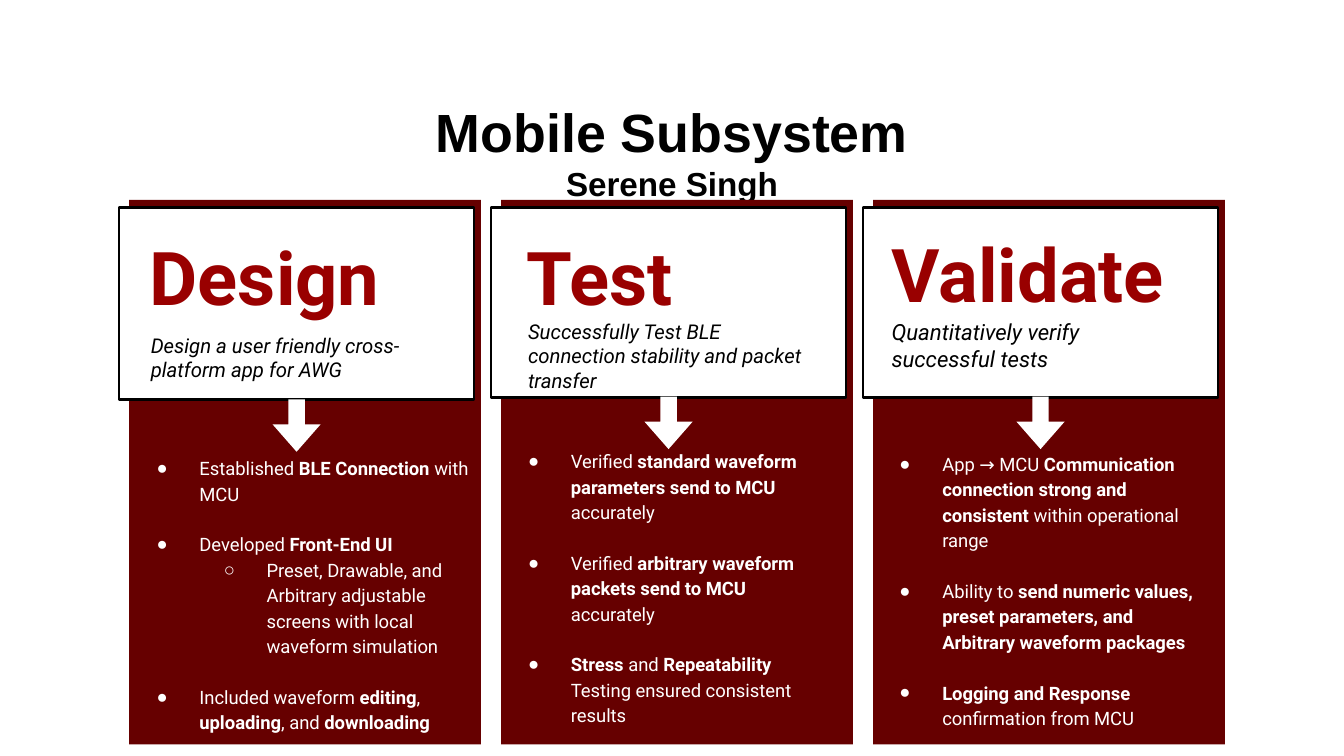
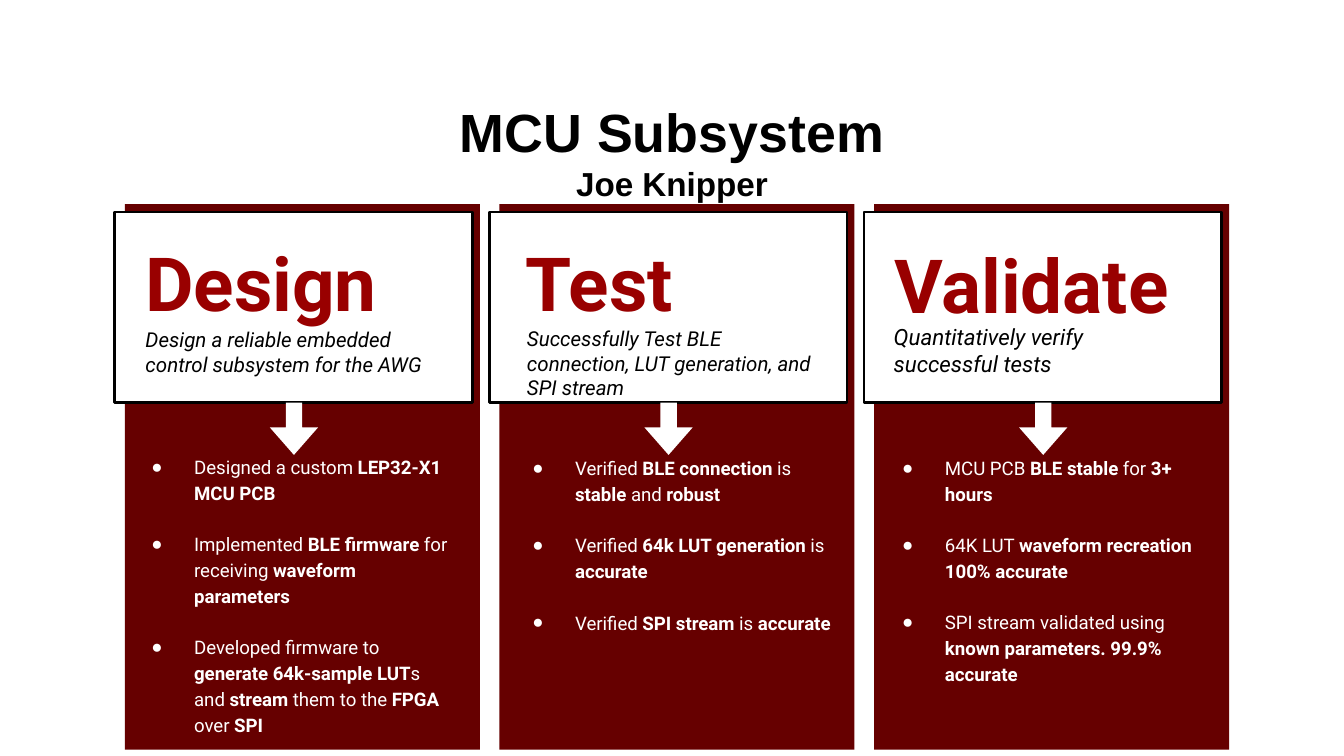
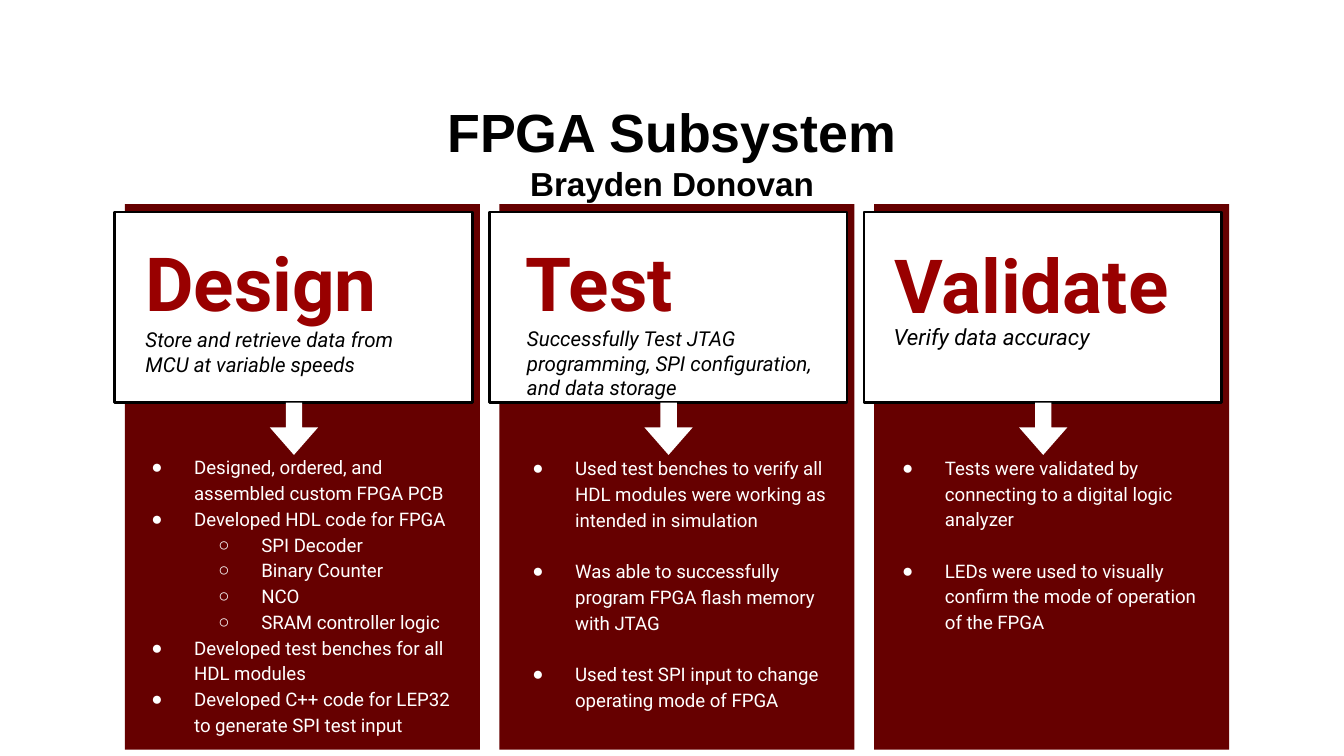
from dataclasses import dataclass
from typing import Any, NamedTuple

from lxml.etree import SubElement
from pptx import Presentation
from pptx.dml.color import RGBColor
from pptx.enum.shapes import MSO_SHAPE as Preset
from pptx.enum.text import MSO_ANCHOR as Anchor, PP_ALIGN as Align
from pptx.oxml.ns import qn
from pptx.util import Cm, Pt

BLACK = RGBColor(0x00, 0x00, 0x00)
WHITE = RGBColor(0xFF, 0xFF, 0xFF)
MAROON = RGBColor(0x66, 0x00, 0x00)
RED = RGBColor(0x99, 0x00, 0x00)

TITLE_FONT = "Arial"
BODY_FONT = "Roboto"
HEADINGS = ("Design", "Test", "Validate")
BULLET_MARKS = ("●", "○")
LEVEL_INDENT = 1.27
HANGING = -0.81
LINE_SPACING = 1.15
BLANK_LINE = 1.37


class Box(NamedTuple):
    left: float
    top: float
    width: float
    height: float

    def shifted(self, distance: float) -> "Box":
        return self._replace(left=self.left + distance)

    def lengths(self) -> list[Cm]:
        return [Cm(value) for value in self]


class Bullet(NamedTuple):
    text: str
    level: int = 0
    spaced: bool = False


@dataclass(frozen=True)
class TextPlaces:
    heading: Box
    caption: Box
    bullets: Box
    extra_caption_size: int = 0
    card_extension: float = 0


@dataclass(frozen=True)
class Layout:
    pitch: float
    panel: Box
    card: Box
    arrow: Box
    heading_size: float
    caption_size: float
    bullet_size: float
    columns: tuple[TextPlaces, ...]


@dataclass(frozen=True)
class Column:
    caption: str
    bullets: list[Bullet]


@dataclass(frozen=True)
class Subsystem:
    title: str
    presenter: str
    layout: Layout
    columns: tuple[Column, ...]


def spaced(*texts: str) -> list[Bullet]:
    return [Bullet(text, spaced=index > 0) for index, text in enumerate(texts)]


MOBILE_LAYOUT = Layout(
    pitch=7.03,
    panel=Box(2.44, 3.78, 6.65, 10.29),
    card=Box(2.25, 3.92, 6.71, 3.59),
    arrow=Box(5.11, 7.54, 0.99, 0.91),
    heading_size=39.7,
    caption_size=10.9,
    bullet_size=9.9,
    columns=(
        TextPlaces(Box(2.58, 4.13, 5.94, 1.73), Box(2.6, 6.04, 5.94, 1.55),
                   Box(2.25, 8.33, 7.04, 5.61), card_extension=0.05),
        TextPlaces(Box(9.7, 4.13, 3.94, 1.7), Box(9.73, 5.78, 5.94, 1.52),
                   Box(9.27, 8.2, 6.65, 5.61)),
        TextPlaces(Box(16.6, 4.06, 5.94, 1.7), Box(16.6, 5.77, 5.94, 1.52),
                   Box(16.29, 8.25, 6.65, 5.56), extra_caption_size=1),
    ),
)

HARDWARE_LAYOUT = Layout(
    pitch=7.08,
    panel=Box(2.36, 3.86, 6.71, 10.31),
    card=Box(2.17, 4.01, 6.76, 3.6),
    arrow=Box(5.06, 7.65, 0.99, 0.91),
    heading_size=40,
    caption_size=11,
    bullet_size=10,
    columns=(
        TextPlaces(Box(2.5, 4.22, 5.99, 1.7), Box(2.5, 5.93, 5.99, 1.55),
                   Box(2.15, 8.31, 6.65, 5.31)),
        TextPlaces(Box(9.69, 4.22, 3.96, 1.7), Box(9.71, 5.91, 5.99, 1.55),
                   Box(9.35, 8.33, 6.71, 5.31)),
        TextPlaces(Box(16.65, 4.26, 5.99, 1.7), Box(16.64, 5.86, 5.99, 1.55),
                   Box(16.34, 8.32, 6.71, 5.31), extra_caption_size=1),
    ),
)

SUBSYSTEMS = (
    Subsystem("Mobile Subsystem", "Serene Singh", MOBILE_LAYOUT, (
        Column("Design a user friendly cross-platform app for AWG", [
            Bullet("Established** BLE Connection **with MCU"),
            Bullet("Developed **Front-End UI**", spaced=True),
            Bullet("Preset, Drawable, and Arbitrary adjustable screens with "
                   "local waveform simulation", level=1),
            Bullet("Included waveform **editing**, **uploading**, and **downloading**",
                   spaced=True),
        ]),
        Column("Successfully Test BLE connection stability and packet transfer", spaced(
            "Verified **standard waveform parameters send to MCU **accurately",
            "Verified **arbitrary waveform packets send to MCU **accurately",
            "**Stress **and **Repeatability **Testing ensured consistent results",
        )),
        Column("Quantitatively verify successful tests", spaced(
            "App → MCU **Communication connection strong and consistent **"
            "within operational range",
            "Ability to **send numeric values, preset parameters, and "
            "Arbitrary waveform packages**",
            "**Logging and Response **confirmation from MCU",
        )),
    )),
    Subsystem("MCU Subsystem", "Joe Knipper", HARDWARE_LAYOUT, (
        Column("Design a reliable embedded control subsystem for the AWG", spaced(
            "Designed a custom **LEP32-X1 MCU PCB**",
            "Implemented **BLE firmware** for receiving **waveform parameters**",
            "Developed firmware to **generate 64k-sample LUT**s and **stream** "
            "them to the **FPGA** over **SPI**",
        )),
        Column("Successfully Test BLE connection, LUT generation, and SPI stream", spaced(
            "Verified **BLE connection** is **stable** and **robust**",
            "Verified **64k LUT generation **is **accurate**",
            "Verified **SPI stream **is **accurate**",
        )),
        Column("Quantitatively verify successful tests", spaced(
            "MCU PCB **BLE stable **for **3+ hours**",
            "64K LUT **waveform recreation 100% accurate**",
            "SPI stream validated using **known parameters. 99.9% accurate**",
        )),
    )),
    Subsystem("FPGA Subsystem", "Brayden Donovan", HARDWARE_LAYOUT, (
        Column("Store and retrieve data from MCU at variable speeds", [
            Bullet("Designed, ordered, and assembled custom FPGA PCB"),
            Bullet("Developed HDL code for FPGA"),
            Bullet("SPI Decoder", level=1),
            Bullet("Binary Counter", level=1),
            Bullet("NCO", level=1),
            Bullet("SRAM controller logic", level=1),
            Bullet("Developed test benches for all HDL modules"),
            Bullet("Developed C++ code for LEP32 to generate SPI test input"),
        ]),
        Column("Successfully Test JTAG programming, SPI configuration, and data storage",
               spaced(
                   "Used test benches to verify all HDL modules were working as "
                   "intended in simulation",
                   "Was able to successfully program FPGA flash memory with JTAG",
                   "Used test SPI input to change operating mode of FPGA",
               )),
        Column("Verify data accuracy", spaced(
            "Tests were validated by connecting to a digital logic analyzer",
            "LEDs were used to visually confirm the mode of operation of the FPGA",
        )),
    )),
)


def set_format(target: Any, values: dict[str, Any]) -> None:
    for name, value in values.items():
        setattr(target, name, value)


def add_run(paragraph: Any, text: str, size: float, color: RGBColor,
            **style: Any) -> None:
    run = paragraph.add_run()
    run.text = text
    set_format(run.font, {"name": BODY_FONT, "size": Pt(size), **style})
    run.font.color.rgb = color


def add_text_frame(shapes: Any, box: Box, vertical_margin: float = 0.25,
                   anchor: Anchor = Anchor.TOP) -> Any:
    frame = shapes.add_textbox(*box.lengths()).text_frame
    set_format(frame, {
        "word_wrap": True,
        "vertical_anchor": anchor,
        "margin_left": Cm(0.25),
        "margin_right": Cm(0.25),
        "margin_top": Cm(vertical_margin),
        "margin_bottom": Cm(vertical_margin),
    })
    return frame


def add_filled(shapes: Any, preset: Preset, box: Box, color: RGBColor) -> Any:
    shape = shapes.add_shape(preset, *box.lengths())
    shape.shadow.inherit = False
    shape.fill.solid()
    shape.fill.fore_color.rgb = color
    shape.line.fill.background()
    return shape


def add_title(shapes: Any, title: str, presenter: str) -> None:
    frame = add_text_frame(shapes, Box(1.27, 2.01, 22.86, 1.68), 0.13, Anchor.MIDDLE)
    lines = ((frame.paragraphs[0], title, 28.8), (frame.add_paragraph(), presenter, 17.8))
    for paragraph, text, size in lines:
        paragraph.alignment = Align.CENTER
        add_run(paragraph, text, size, BLACK, name=TITLE_FONT, bold=True)


def set_bullet(paragraph: Any, level: int) -> None:
    paragraph.level = level
    properties = paragraph._p.get_or_add_pPr()
    properties.set("marL", str(Cm(LEVEL_INDENT * (level + 1))))
    properties.set("indent", str(Cm(HANGING)))
    bullet_color = SubElement(properties, qn("a:buClr"))
    SubElement(bullet_color, qn("a:srgbClr")).set("val", str(WHITE))
    SubElement(properties, qn("a:buFont")).set("typeface", TITLE_FONT)
    SubElement(properties, qn("a:buChar")).set("char", BULLET_MARKS[level])


def add_bullets(shapes: Any, box: Box, bullets: list[Bullet], size: float) -> None:
    frame = add_text_frame(shapes, box)
    for index, bullet in enumerate(bullets):
        paragraph = frame.add_paragraph() if index else frame.paragraphs[0]
        set_bullet(paragraph, bullet.level)
        set_format(paragraph, {
            "line_spacing": LINE_SPACING,
            "space_before": Pt(size * BLANK_LINE if bullet.spaced else 0),
        })
        for part, text in enumerate(bullet.text.split("**")):
            if text:
                add_run(paragraph, text, size, WHITE, bold=part % 2 == 1)


def add_column(shapes: Any, layout: Layout, index: int, column: Column) -> None:
    places = layout.columns[index]
    offset = index * layout.pitch
    extension = places.card_extension
    card_box = layout.card._replace(height=layout.card.height + extension)
    arrow_box = layout.arrow._replace(top=layout.arrow.top + extension)

    add_filled(shapes, Preset.RECTANGLE, layout.panel.shifted(offset), MAROON)
    card = add_filled(shapes, Preset.RECTANGLE, card_box.shifted(offset), WHITE)
    card.line.color.rgb = BLACK
    card.line.width = Pt(1.5)

    caption = add_text_frame(shapes, places.caption).paragraphs[0]
    add_run(caption, column.caption, layout.caption_size + places.extra_caption_size,
            BLACK, italic=True)
    heading = add_text_frame(shapes, places.heading).paragraphs[0]
    add_run(heading, HEADINGS[index], layout.heading_size, RED, bold=True)

    arrow = add_filled(shapes, Preset.RIGHT_ARROW, arrow_box.shifted(offset), WHITE)
    arrow.rotation = 90
    arrow.adjustments[0] = 0.34
    arrow.adjustments[1] = 0.57
    add_bullets(shapes, places.bullets, column.bullets, layout.bullet_size)


def main() -> None:
    presentation = Presentation()
    set_format(presentation, {"slide_width": Cm(25.4), "slide_height": Cm(14.29)})
    for subsystem in SUBSYSTEMS:
        slide = presentation.slides.add_slide(presentation.slide_layouts[6])
        add_title(slide.shapes, subsystem.title, subsystem.presenter)
        for index, column in enumerate(subsystem.columns):
            group = slide.shapes.add_group_shape()
            add_column(group.shapes, subsystem.layout, index, column)
    presentation.save("out.pptx")


if __name__ == "__main__":
    main()
